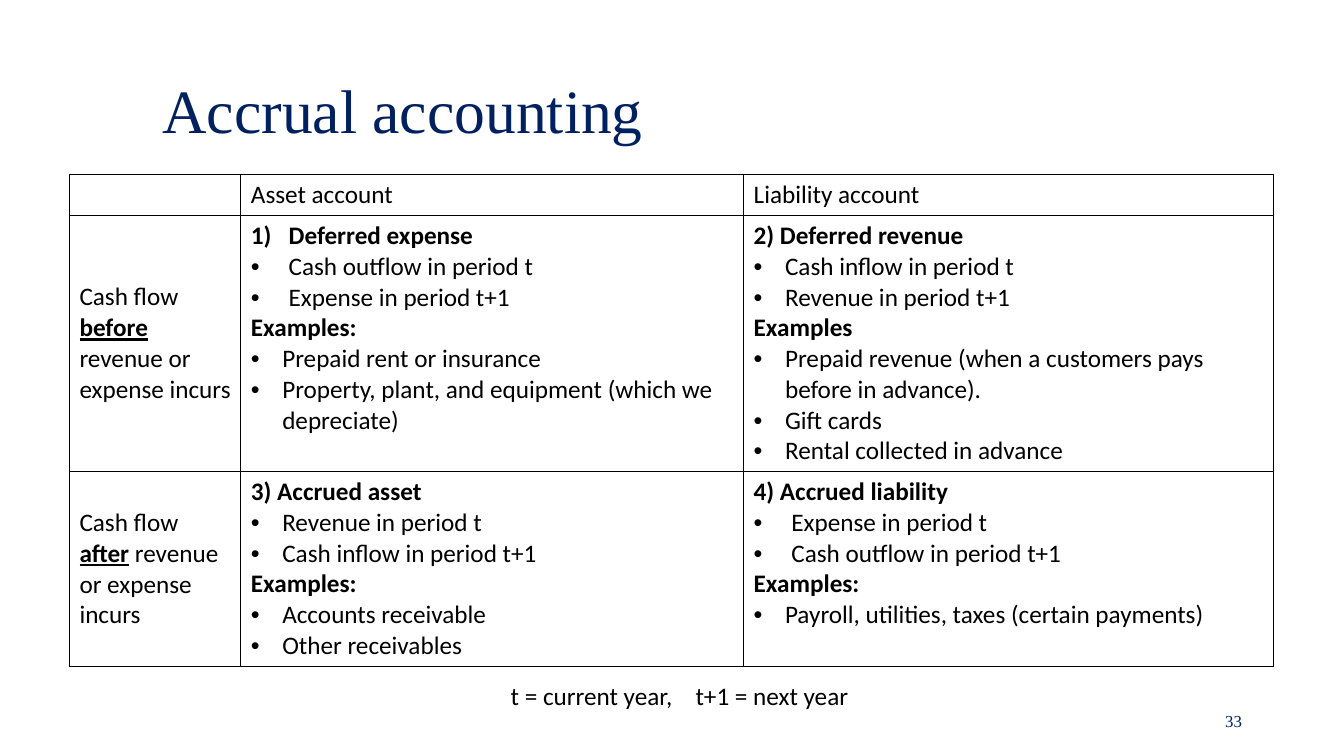
from lxml.etree import SubElement
from pptx import Presentation
from pptx.dml.color import RGBColor
from pptx.enum.text import MSO_ANCHOR, PP_ALIGN
from pptx.oxml.ns import qn
from pptx.util import Cm, Pt

NAVY = RGBColor(0x00, 0x20, 0x60)
BLACK = RGBColor(0x00, 0x00, 0x00)
TITLE_FONT = "Times New Roman"
BODY_FONT = "Calibri"

NARROW, WIDE = Cm(0.79), Cm(0.95)  # hanging indents of the lists
COLUMN_WIDTHS = [4.32, 12.67, 13.36]
ROW_HEIGHTS = [1.03, 6.45, 4.92]

# Each quadrant: heading, whether it is auto-numbered, indent of the timing
# list, timing list, examples label, examples
QUADRANTS = {
    (1, 1): ("Deferred expense", True, WIDE,
             ["Cash outflow in period t", "Expense in period t+1"],
             "Examples:",
             ["Prepaid rent or insurance",
              "Property, plant, and equipment (which we depreciate)"]),
    (1, 2): ("2) Deferred revenue", False, NARROW,
             ["Cash inflow in period t", "Revenue in period t+1"],
             "Examples",
             ["Prepaid revenue (when a customers pays before in advance).",
              "Gift cards", "Rental collected in advance"]),
    (2, 1): ("3) Accrued asset", False, NARROW,
             ["Revenue in period t", "Cash inflow in period t+1"],
             "Examples:",
             ["Accounts receivable", "Other receivables"]),
    (2, 2): ("4) Accrued liability", False, WIDE,
             ["Expense in period t", "Cash outflow in period t+1"],
             "Examples:",
             ["Payroll, utilities, taxes (certain payments)"]),
}


def add_run(paragraph, text, size=18, font=BODY_FONT, color=BLACK,
            bold=False, underline=False):
    run = paragraph.add_run()
    run.text = text
    run.font.size = Pt(size)
    run.font.name = font
    run.font.color.rgb = color
    run.font.bold = bold
    run.font.underline = underline


def set_bullet(paragraph, indent, numbered=False):
    properties = paragraph._p.get_or_add_pPr()
    properties.set("marL", str(indent))
    properties.set("indent", str(-indent))
    if numbered:
        SubElement(properties, qn("a:buFont"), typeface="+mj-lt")
        SubElement(properties, qn("a:buAutoNum"), type="arabicParenR")
    else:
        SubElement(properties, qn("a:buFont"), typeface="Arial")
        SubElement(properties, qn("a:buChar"), char="•")


def set_borders(cell):
    properties = cell._tc.get_or_add_tcPr()
    for side in ("lnL", "lnR", "lnT", "lnB"):
        line = SubElement(properties, qn(f"a:{side}"), w=str(Pt(1)))
        fill = SubElement(line, qn("a:solidFill"))
        SubElement(fill, qn("a:srgbClr"), val=str(BLACK))


def add_title(slide, left, top, width, height):
    title = slide.shapes.title
    title.left, title.top, title.width, title.height = left, top, width, height
    title.text_frame.vertical_anchor = MSO_ANCHOR.MIDDLE
    paragraph = title.text_frame.paragraphs[0]
    paragraph.alignment = PP_ALIGN.JUSTIFY
    paragraph.line_spacing = 0.9
    add_run(paragraph, "Accrual accounting", 44, TITLE_FONT, NAVY)


def fill_row_label(cell, timing):
    cell.vertical_anchor = MSO_ANCHOR.MIDDLE
    paragraph = cell.text_frame.paragraphs[0]
    add_run(paragraph, "Cash flow ")
    add_run(paragraph, timing, bold=True, underline=True)
    add_run(paragraph, " revenue or expense incurs")


def fill_quadrant(cell, heading, numbered, indent, timings, label, examples):
    text_frame = cell.text_frame
    paragraph = text_frame.paragraphs[0]
    if numbered:
        set_bullet(paragraph, indent, numbered=True)
    add_run(paragraph, heading, bold=True)

    def add_list(items, list_indent):
        for item in items:
            bullet = text_frame.add_paragraph()
            set_bullet(bullet, list_indent)
            add_run(bullet, item)

    add_list(timings, indent)
    add_run(text_frame.add_paragraph(), label, bold=True)
    add_list(examples, NARROW)


def add_accrual_table(slide, left, top):
    table = slide.shapes.add_table(
        len(ROW_HEIGHTS), len(COLUMN_WIDTHS), left, top,
        Cm(sum(COLUMN_WIDTHS)), Cm(sum(ROW_HEIGHTS))).table
    table.first_row = False
    table.horz_banding = False
    for column, width in zip(table.columns, COLUMN_WIDTHS):
        column.width = Cm(width)
    for row, height in zip(table.rows, ROW_HEIGHTS):
        row.height = Cm(height)
    for cell in table.iter_cells():
        set_borders(cell)
        cell.fill.background()

    # Header row and row labels
    for column, header in enumerate(["Asset account", "Liability account"], 1):
        add_run(table.cell(0, column).text_frame.paragraphs[0], header)
    for row, timing in enumerate(["before", "after"], 1):
        fill_row_label(table.cell(row, 0), timing)

    # Four kinds of accrual
    for (row, column), content in QUADRANTS.items():
        fill_quadrant(table.cell(row, column), *content)


def add_legend(slide, left, top, width, height):
    text_frame = slide.shapes.add_textbox(left, top, width, height).text_frame
    text_frame.word_wrap = True
    paragraph = text_frame.paragraphs[0]
    tabs = SubElement(paragraph._p.get_or_add_pPr(), qn("a:tabLst"))
    SubElement(tabs, qn("a:tab"), pos=str(Cm(4.66)), algn="l")
    add_run(paragraph, "t = current year,\tt+1 = next year")


def add_page_number(slide, left, top, width, height):
    text_frame = slide.shapes.add_textbox(left, top, width, height).text_frame
    text_frame.word_wrap = True
    text_frame.vertical_anchor = MSO_ANCHOR.MIDDLE
    paragraph = text_frame.paragraphs[0]
    paragraph.alignment = PP_ALIGN.RIGHT
    add_run(paragraph, "33", 12, TITLE_FONT, NAVY)


def main():
    presentation = Presentation()
    presentation.slide_width = Cm(33.87)
    presentation.slide_height = Cm(19.05)
    title_only = presentation.slide_layouts[5]
    slide = presentation.slides.add_slide(title_only)
    add_title(slide, Cm(3.84), Cm(1.02), Cm(27.33), Cm(3.68))
    add_page_number(slide, Cm(23.93), Cm(17.65), Cm(7.62), Cm(1.02))
    add_accrual_table(slide, Cm(1.75), Cm(4.4))
    add_legend(slide, Cm(12.62), Cm(17.02), Cm(15.09), Cm(1.02))
    presentation.save("out.pptx")


if __name__ == "__main__":
    main()
